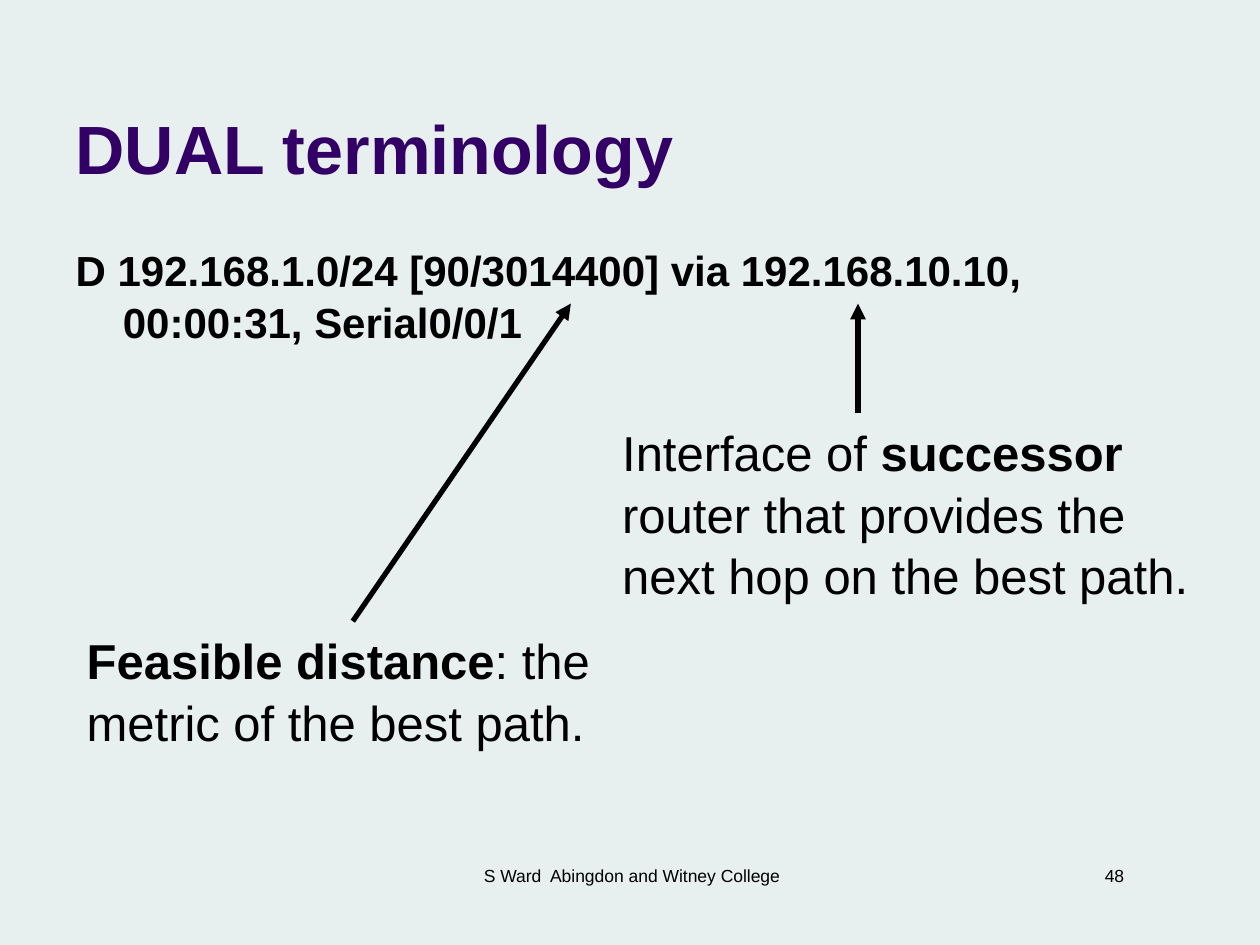
from pptx import Presentation
from pptx.dml.color import RGBColor
from pptx.enum.shapes import MSO_CONNECTOR
from pptx.enum.text import MSO_ANCHOR, MSO_AUTO_SIZE, PP_ALIGN
from pptx.oxml.ns import qn
from pptx.util import Pt
from lxml import etree

LEFT, CENTER, RIGHT = PP_ALIGN.LEFT, PP_ALIGN.CENTER, PP_ALIGN.RIGHT
TOP, BOTTOM = MSO_ANCHOR.TOP, MSO_ANCHOR.BOTTOM
NO_AUTOFIT = MSO_AUTO_SIZE.NONE
STRAIGHT = MSO_CONNECTOR.STRAIGHT

THEME = {
    "font": "Arial",
    "background": RGBColor.from_string("E7EFEF"),
    "title": RGBColor.from_string("330066"),
    "ink": RGBColor.from_string("000000"),
    "sizes": {"title": 39, "route": 24, "note": 28, "footer": 10},
    "spacing": {"title": 1, "route": 1.03, "note": 1.05, "footer": 1},
    "arrow_width": 3,
    "hanging_indent": 27,
}

# Text is a list of (words, bold); boxes are left, top, width, height in points.
TITLE = ([("DUAL terminology", True)], (36, 9.4, 594, 102))
ROUTE = (
    [("D 192.168.1.0/24 [90/3014400] via 192.168.10.10, 00:00:31, Serial0/0/1", True)],
    (36, 135.4, 648, 72),
)
TEXT_BOXES = [
    ("note", LEFT, (348.5, 236.2, 340.6, 108),
     [("Interface of ", False), ("successor", True),
      (" router that provides the next hop on the best path.", False)]),
    ("note", LEFT, (42.5, 355, 340.6, 75),
     [("Feasible distance", True), (": the metric of the best path.", False)]),
    ("footer", CENTER, (247, 491, 228, 36),
     [("S Ward  Abingdon and Witney College", False)]),
    ("footer", RIGHT, (502, 491, 147.5, 19.5), [("48", False)]),
]
ARROWS = [
    ((490.3, 236.2), (490.3, 173.5)),
    ((201.6, 355), (326.2, 173.5)),
]


def place(shape, box):
    for name, value in zip(("left", "top", "width", "height"), box):
        setattr(shape, name, Pt(value))


def write(shape, runs, role, alignment=LEFT, anchor=TOP):
    frame = shape.text_frame
    frame_format = {"word_wrap": True, "auto_size": NO_AUTOFIT, "vertical_anchor": anchor}
    for name, value in frame_format.items():
        setattr(frame, name, value)
    paragraph = frame.paragraphs[0]
    paragraph_format = {
        "alignment": alignment,
        "space_before": Pt(0),
        "line_spacing": THEME["spacing"][role],
    }
    for name, value in paragraph_format.items():
        setattr(paragraph, name, value)
    for words, bold in runs:
        run = paragraph.add_run()
        run.text = words
        font_format = {"name": THEME["font"], "size": Pt(THEME["sizes"][role]), "bold": bold}
        for name, value in font_format.items():
            setattr(run.font, name, value)
        run.font.color.rgb = THEME["title" if role == "title" else "ink"]
    return paragraph


def hang_without_bullet(paragraph):
    properties = paragraph._p.get_or_add_pPr()
    indent = Pt(THEME["hanging_indent"])
    properties.set("marL", str(indent))
    properties.set("indent", str(-indent))
    etree.SubElement(properties, qn("a:buNone"))


def add_arrow(slide, start, end):
    points = [Pt(value) for value in start + end]
    arrow = slide.shapes.add_connector(STRAIGHT, *points)
    arrow.line.color.rgb = THEME["ink"]
    arrow.line.width = Pt(THEME["arrow_width"])
    etree.SubElement(arrow.line._get_or_add_ln(), qn("a:tailEnd"), type="triangle")
    etree.SubElement(arrow._element.spPr, qn("a:effectLst"))


def main():
    presentation = Presentation()
    presentation.slide_width, presentation.slide_height = Pt(720), Pt(540)
    slide = presentation.slides.add_slide(presentation.slide_layouts[1])
    slide.background.fill.solid()
    slide.background.fill.fore_color.rgb = THEME["background"]

    title, body = slide.placeholders
    runs, box = TITLE
    place(title, box)
    write(title, runs, "title", anchor=BOTTOM)
    runs, box = ROUTE
    place(body, box)
    hang_without_bullet(write(body, runs, "route"))

    for role, alignment, box, runs in TEXT_BOXES:
        text_box = slide.shapes.add_textbox(*map(Pt, box))
        write(text_box, runs, role, alignment)
    for start, end in ARROWS:
        add_arrow(slide, start, end)

    presentation.save("out.pptx")


if __name__ == "__main__":
    main()
